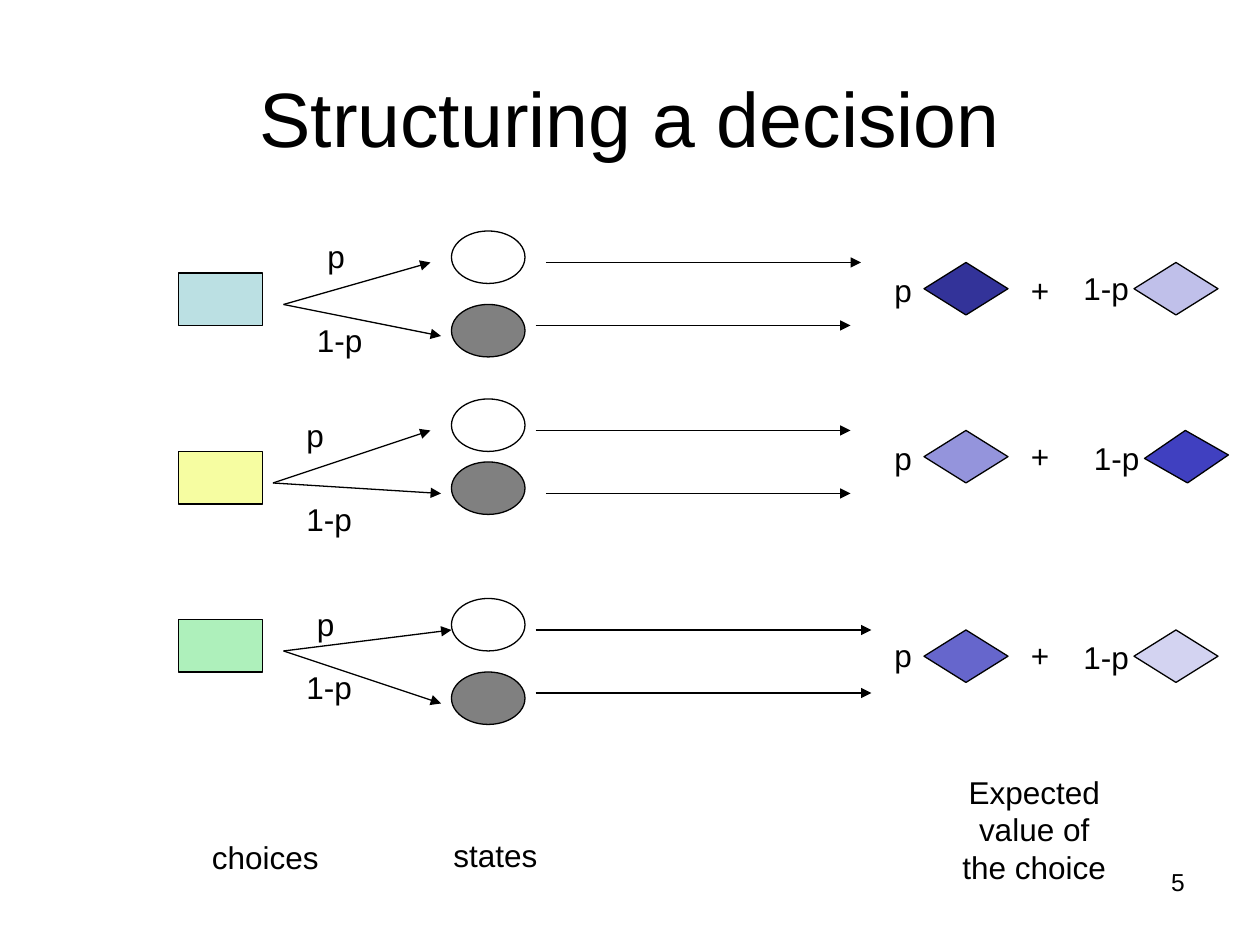
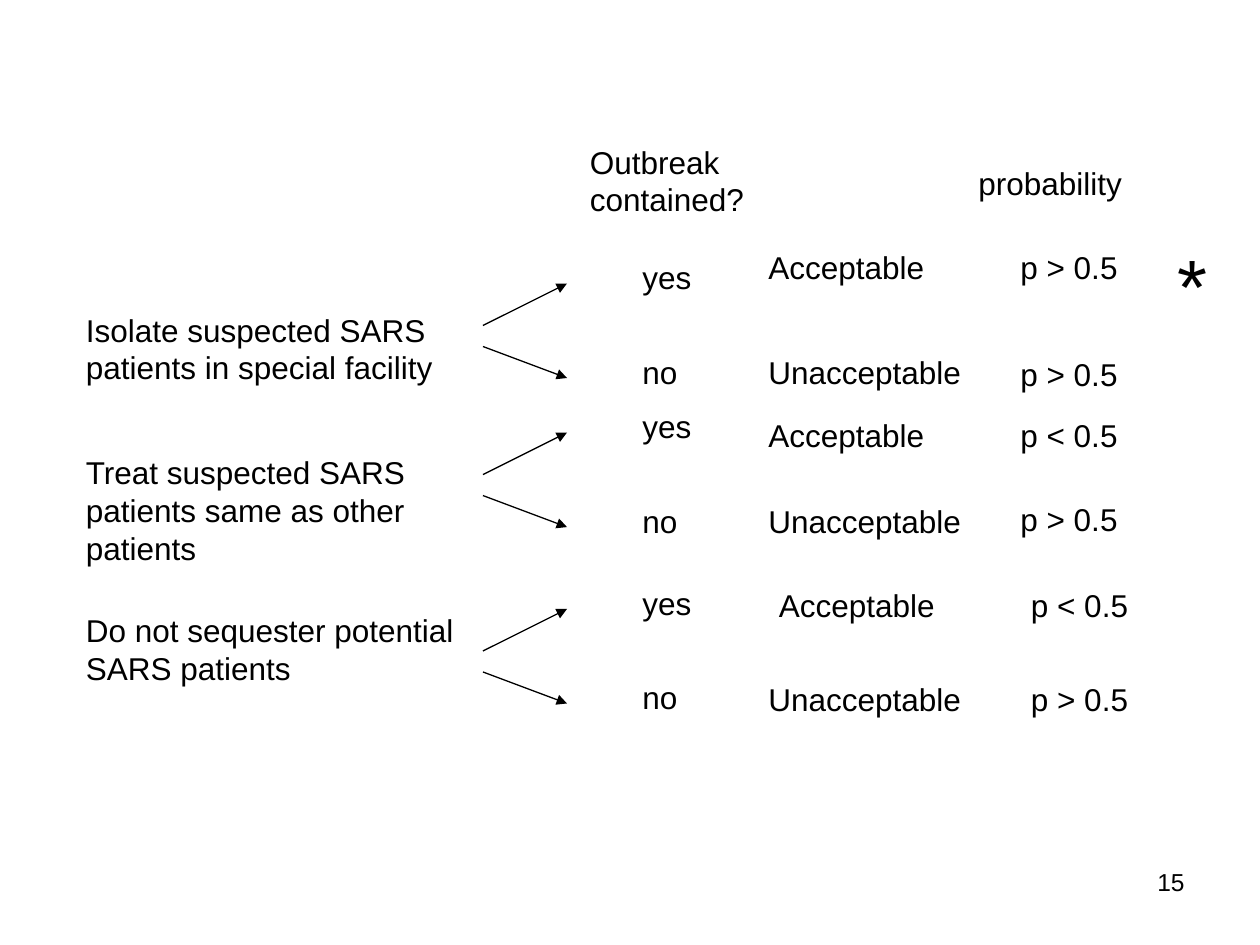
"""Builds two decision-analysis slides on a grid of twelfths of an inch."""
from lxml import etree
from pptx import Presentation
from pptx.dml.color import RGBColor
from pptx.enum.shapes import MSO_CONNECTOR, MSO_SHAPE
from pptx.enum.text import MSO_ANCHOR, MSO_AUTO_SIZE, PP_ALIGN
from pptx.oxml.ns import qn
from pptx.util import Inches, Pt

COLUMNS, ROWS = 120, 90
LINE_HEIGHT, TEXT_PADDING = 3.6, 1.2
COLORS = {
    "ink": "000000", "good state": "FFFFFF", "bad state": "808080",
    "blue": "BBE0E3", "yellow": "F6FDA1", "green": "AEF0BB",
    "value 1": "333399", "value 2": "4040C0", "value 3": "6666CC",
    "value 4": "9494DC", "value 5": "C0C0EA", "value 6": "D3D3F1",
}
SIZES = {"title": 44, "body": 18, "page": 14}
FRAME = {"margin_left": Inches(0.1), "margin_right": Inches(0.1),
         "margin_top": Inches(0.05), "margin_bottom": Inches(0.05), "word_wrap": True}

DECISION_TITLE = "Structuring a decision"
DECISION_PAGE, SARS_PAGE = "5", "15"
COLUMN_CAPTIONS = [
    ("choices", 19, 79.2, 15, 1, PP_ALIGN.LEFT),
    ("states", 42, 79, 23, 1, PP_ALIGN.LEFT),
    ("Expected value of the choice", 90, 73, 17, 3, PP_ALIGN.CENTER),
]
DECISIONS = [
    {"choice": ("blue", 26), "states": (22, 29), "root": (27, 29),
     "branches": [("p", 30, 22, (41, 25)), ("1-p", 29, 30, (42, 32))],
     "outcomes": [(52, 82, 25), (51, 81, 31)], "value top": 25,
     "terms": [("p", 84, 25.2, 8), ("+", 97, 25.2, 5), ("1-p", 102, 25, 7)],
     "values": [("value 1", 88, 0), ("value 5", 108, 0)]},
    {"choice": ("yellow", 43), "states": (38, 44), "root": (26, 46),
     "branches": [("p", 28, 39, (41, 41)), ("1-p", 28, 47, (42, 47))],
     "outcomes": [(51, 81, 41), (52, 81, 47)], "value top": 41,
     "terms": [("p", 84, 41.2, 8), ("+", 97, 41, 5), ("1-p", 103, 41.2, 7)],
     "values": [("value 4", 88, 0), ("value 2", 109, 357.6)]},
    {"choice": ("green", 59), "states": (57, 64), "root": (27, 62),
     "branches": [("p", 29, 57, (43, 60)), ("1-p", 28, 63, (42, 67))],
     "outcomes": [(51, 83, 60), (51, 83, 66)], "value top": 60,
     "terms": [("p", 84, 60, 8), ("+", 97, 60, 5), ("1-p", 102, 60.2, 7)],
     "values": [("value 3", 88, 0), ("value 6", 108, 0)]},
]
BRANCH_WIDTHS = {"p": 8, "1-p": 7}

SARS_HEADINGS = [("Outbreak contained?", 55, 13, 19, 2), ("probability", 92, 15, 19, 1)]
BEST_CHOICE_MARK = "*"
SARS_CHOICES = [
    {"choice": ("Isolate suspected SARS patients in special facility", 29, 2), "top": 24,
     "results": [("Acceptable", 72, 23), ("Unacceptable", 72, 33)],
     "odds": [("p > 0.5", 96, 23), ("p > 0.5", 96, 33.2)]},
    {"choice": ("Treat suspected SARS patients same as other patients", 42.6, 3), "top": 38.2,
     "results": [("Acceptable", 72, 39), ("Unacceptable", 72, 47.2)],
     "odds": [("p < 0.5", 96, 39), ("p > 0.5", 96, 47)]},
    {"choice": ("Do not sequester potential SARS patients", 57.6, 2), "top": 55,
     "results": [("Acceptable", 73, 55.2), ("Unacceptable", 72, 64.2)],
     "odds": [("p < 0.5", 97, 55.2), ("p > 0.5", 97, 64.2)]},
]
RESULT_WIDTHS = {"Acceptable": 20, "Unacceptable": 22}
CONTAINED = [("yes", 0, 7, 3), ("no", 9, 9, 12)]


def grid(*cells):
    return [Inches(cell / 12) for cell in cells]


def color(name):
    return RGBColor.from_string(COLORS[name])


def write(shape, text, size="body", align=PP_ALIGN.LEFT, anchor=MSO_ANCHOR.TOP):
    frame = shape.text_frame
    frame.text = text
    for name, value in {**FRAME, "vertical_anchor": anchor}.items():
        setattr(frame, name, value)
    paragraph = frame.paragraphs[0]
    paragraph.alignment = align
    font = paragraph.runs[0].font
    for name, value in {"name": "Arial", "size": Pt(SIZES[size])}.items():
        setattr(font, name, value)
    font.color.rgb = color("ink")


def add_label(slide, text, left, top, width, lines=1, size="body", align=PP_ALIGN.LEFT):
    height = lines * LINE_HEIGHT * SIZES[size] / SIZES["body"] + TEXT_PADDING
    label = slide.shapes.add_textbox(*grid(left, top, width, height))
    write(label, text, size, align)
    label.text_frame.auto_size = MSO_AUTO_SIZE.SHAPE_TO_FIT_TEXT


def add_node(slide, kind, fill, left, top, width=8, rotation=0):
    node = slide.shapes.add_shape(kind, *grid(left, top, width, 5))
    node.shadow.inherit = False
    node.rotation = rotation
    node.fill.solid()
    node.fill.fore_color.rgb = color(fill)
    node.line.color.rgb = color("ink")
    node.line.width = Pt(0.75)


def add_arrow(slide, start, end):
    arrow = slide.shapes.add_connector(MSO_CONNECTOR.STRAIGHT, *grid(*start, *end))
    arrow.line.color.rgb = color("ink")
    arrow.line.width = Pt(0.75)
    etree.SubElement(arrow.line._get_or_add_ln(), qn("a:tailEnd"), type="triangle")
    etree.SubElement(arrow._element.spPr, qn("a:effectLst"))


def add_page_number(slide, number):
    page = slide.shapes.add_textbox(*grid(86, 82, 28, 6.2))
    write(page, number, "page", PP_ALIGN.RIGHT)


def draw_decision(slide, decision):
    for text, left, top, tip in decision["branches"]:
        add_arrow(slide, decision["root"], tip)
        add_label(slide, text, left, top, BRANCH_WIDTHS[text])
    for start, end, y in decision["outcomes"]:
        add_arrow(slide, (start, y), (end, y))
    for fill, left, rotation in decision["values"]:
        add_node(slide, MSO_SHAPE.FLOWCHART_DECISION, fill, left,
                 decision["value top"], rotation=rotation)
    for term in decision["terms"]:
        add_label(slide, *term)
    fill, top = decision["choice"]
    add_node(slide, MSO_SHAPE.RECTANGLE, fill, 17, top)
    for fill, top in zip(("good state", "bad state"), decision["states"]):
        add_node(slide, MSO_SHAPE.OVAL, fill, 43, top, width=7)


def draw_sars_choice(slide, option):
    text, top, lines = option["choice"]
    add_label(slide, text, 7, top, 44, lines)
    for answer, drop, start, end in CONTAINED:
        top = option["top"]
        add_label(slide, answer, 60, top + drop, 10)
        add_arrow(slide, (46, top + start), (54, top + end))
    for result, left, top in option["results"]:
        add_label(slide, result, left, top, RESULT_WIDTHS[result])
    for odds, left, top in option["odds"]:
        add_label(slide, odds, left, top, 15)


def build_decision_slide(deck):
    slide = deck.slides.add_slide(deck.slide_layouts.get_by_name("Title Only"))
    title = slide.shapes.title
    title.left, title.top, title.width, title.height = grid(6, 3.6, 108, 15)
    write(title, DECISION_TITLE, "title", PP_ALIGN.CENTER, MSO_ANCHOR.MIDDLE)
    for text, left, top, width, lines, align in COLUMN_CAPTIONS:
        add_label(slide, text, left, top, width, lines, align=align)
    for decision in DECISIONS:
        draw_decision(slide, decision)
    add_page_number(slide, DECISION_PAGE)


def build_sars_slide(deck):
    slide = deck.slides.add_slide(deck.slide_layouts.get_by_name("Blank"))
    for heading in SARS_HEADINGS:
        add_label(slide, *heading)
    for option in SARS_CHOICES:
        draw_sars_choice(slide, option)
    add_label(slide, BEST_CHOICE_MARK, 111, 22, 5, size="title")
    add_page_number(slide, SARS_PAGE)


def main():
    deck = Presentation()
    deck.slide_width, deck.slide_height = grid(COLUMNS, ROWS)
    build_decision_slide(deck)
    build_sars_slide(deck)
    deck.save("out.pptx")


if __name__ == "__main__":
    main()
